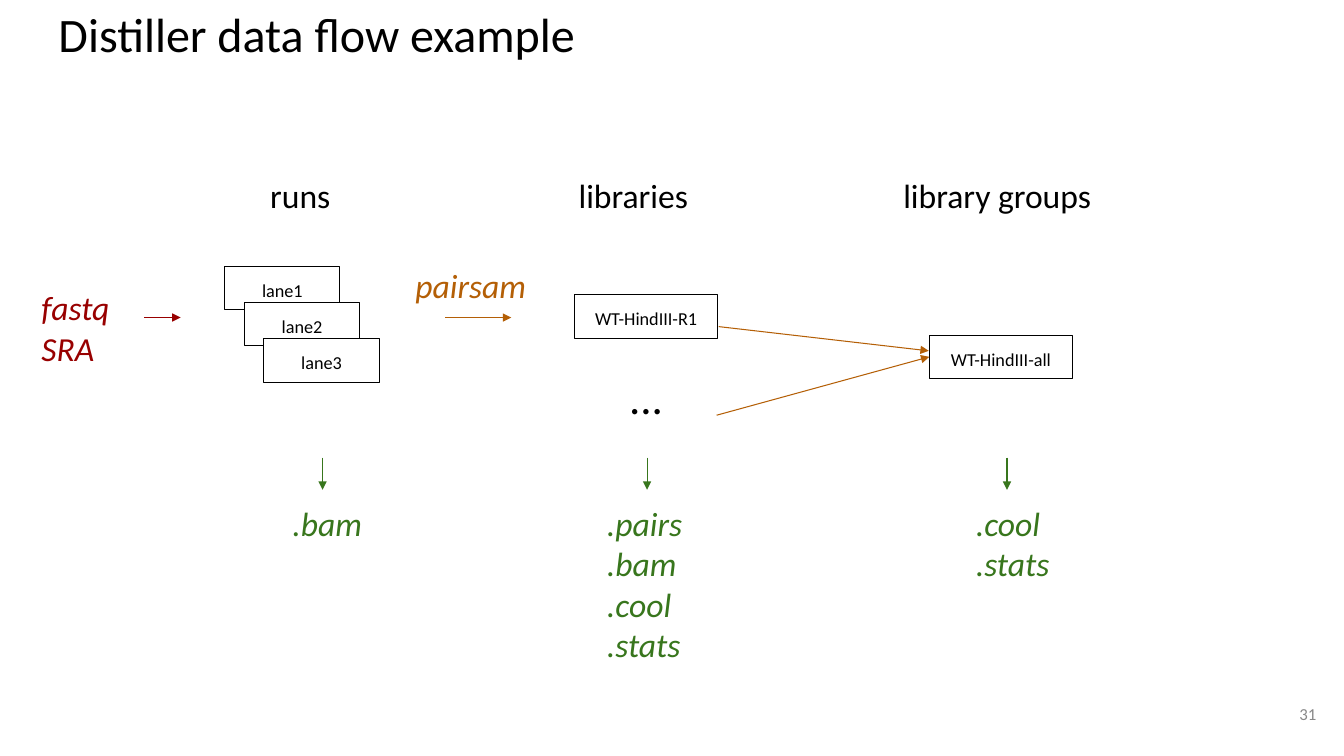
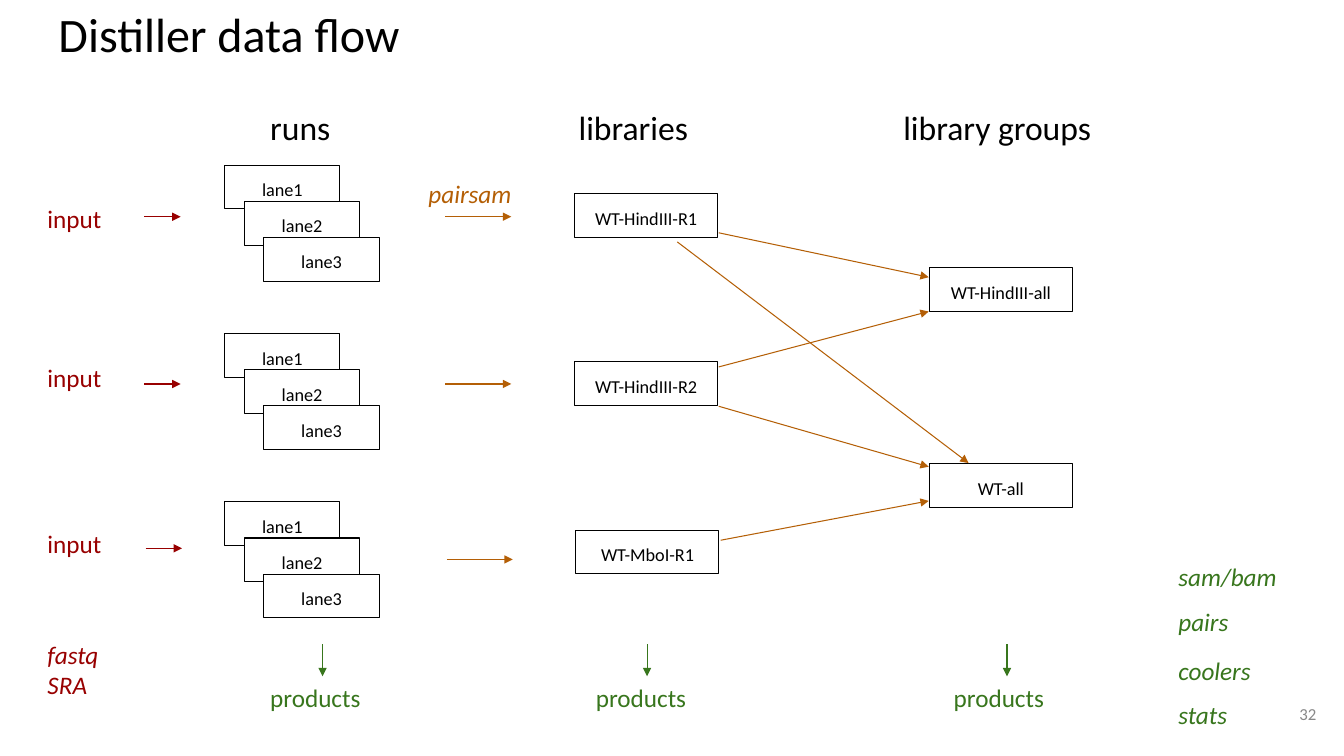
from dataclasses import dataclass

from lxml import etree
from pptx import Presentation
from pptx.dml.color import RGBColor
from pptx.enum.shapes import MSO_CONNECTOR, MSO_SHAPE
from pptx.enum.text import MSO_ANCHOR, PP_ALIGN
from pptx.oxml.ns import qn
from pptx.util import Pt

LEFT, CENTER, RIGHT = PP_ALIGN.LEFT, PP_ALIGN.CENTER, PP_ALIGN.RIGHT
TOP, MIDDLE = MSO_ANCHOR.TOP, MSO_ANCHOR.MIDDLE
RECTANGLE, STRAIGHT = MSO_SHAPE.RECTANGLE, MSO_CONNECTOR.STRAIGHT


@dataclass(frozen=True)
class Theme:
    font: str = "Calibri"
    ink: str = "000000"
    paper: str = "FFFFFF"
    source: str = "980000"
    flow: str = "B45F06"
    product: str = "38761D"
    muted: str = "888888"
    title: float = 34.3
    ellipsis: float = 32
    large: float = 24
    medium: float = 18
    small: float = 13
    number: float = 12
    inset: float = 9.4
    number_inset: float = 7.2
    line: float = 0.75


THEME = Theme()

# Shared geometry, in points
HEADINGS = (("runs", 183.6, 95), ("libraries", 403.9, 117),
            ("library groups", 635.8, 213))
BOX_HEIGHT = 31.2
LANE_LEFT, LANE_WIDTH = 160.6, 82.2
LANE_STEP_X, LANE_STEP_Y = 14, 25.8
LIBRARY_LEFT, GROUP_LEFT, WIDE_BOX = 410.4, 663.8, 102.2
LIBRARY_DROP = 20.2
INPUT_ARROW = (103, 129)
FLOW_ARROW = (318.2, 365.2)
PRODUCT_ARROW_X = (230.4, 462.2, 719.3)
PRODUCT_ARROW_LENGTH = 23


def colour(value):
    return RGBColor.from_string(value)


def write(frame, lines, size, shade, italic=False, align=LEFT, anchor=TOP,
          inset=THEME.inset, spacing=None):
    """Fill a text frame, one paragraph for each line."""
    frame.word_wrap = True
    frame.vertical_anchor = anchor
    frame.margin_left = frame.margin_right = Pt(inset)
    frame.margin_top = frame.margin_bottom = Pt(inset)
    for index, line in enumerate(lines):
        para = frame.add_paragraph() if index else frame.paragraphs[0]
        para.alignment = align
        if spacing:
            para.line_spacing = spacing
        span = para.add_run()
        span.text = line
        span.font.name = THEME.font
        span.font.size = Pt(size)
        span.font.italic = italic
        span.font.color.rgb = colour(shade)


def add_text(page, lines, left, top, width, height, size, shade, **style):
    box = page.shapes.add_textbox(Pt(left), Pt(top), Pt(width), Pt(height))
    write(box.text_frame, lines, size, shade, **style)


def add_box(page, label, left, top, width):
    box = page.shapes.add_shape(RECTANGLE, Pt(left), Pt(top), Pt(width),
                                Pt(BOX_HEIGHT))
    box.shadow.inherit = False
    box.fill.solid()
    box.fill.fore_color.rgb = colour(THEME.paper)
    box.line.color.rgb = colour(THEME.ink)
    box.line.width = Pt(THEME.line)
    write(box.text_frame, [label], THEME.small, THEME.ink, align=CENTER)


def add_arrow(page, start_x, start_y, end_x, end_y, shade):
    arrow = page.shapes.add_connector(STRAIGHT, Pt(start_x), Pt(start_y),
                                      Pt(end_x), Pt(end_y))
    arrow.line.color.rgb = colour(shade)
    arrow.line.width = Pt(THEME.line)
    etree.SubElement(arrow.line._get_or_add_ln(), qn("a:tailEnd"),
                     type="triangle")
    etree.SubElement(arrow._element.spPr, qn("a:effectLst"))


def add_level_arrow(page, span, y, shade, shift=0):
    add_arrow(page, span[0] + shift, y, span[1] + shift, y, shade)


def add_lanes(page, top):
    for index in range(3):
        add_box(page, f"lane{index + 1}", LANE_LEFT + index * LANE_STEP_X,
                top + index * LANE_STEP_Y, LANE_WIDTH)


def add_product_arrows(page, top):
    for x in PRODUCT_ARROW_X:
        add_arrow(page, x, top, x, top + PRODUCT_ARROW_LENGTH, THEME.product)


def add_page(deck, title, number, heading_top):
    """Start a page with its title, column headings and page number."""
    page = deck.slides.add_slide(deck.slide_layouts[6])
    add_text(page, [title], 32.4, -1.4, 894, 60.5, THEME.title, THEME.ink,
             spacing=0.9)
    for heading, left, width in HEADINGS:
        add_text(page, [heading], left, heading_top, width, 47.5,
                 THEME.large, THEME.ink)
    add_text(page, [str(number)], 919.4, 496, 28, 28, THEME.number,
             THEME.muted, align=RIGHT, anchor=MIDDLE,
             inset=THEME.number_inset)
    return page


def build_example(deck):
    page = add_page(deck, "Distiller data flow example", 31, 115.2)
    row_top, arrow_y = 190.1, 226.8

    # Input, lanes and library
    add_text(page, ["fastq", "SRA"], 20.2, 195.8, 80, 80, THEME.large,
             THEME.source, italic=True)
    add_level_arrow(page, INPUT_ARROW, arrow_y, THEME.source)
    add_lanes(page, row_top)
    add_text(page, ["pairsam"], 287.3, 180, 98.6, 47.5, THEME.large,
             THEME.flow, italic=True)
    add_level_arrow(page, FLOW_ARROW, arrow_y, THEME.flow)
    add_box(page, "WT-HindIII-R1", LIBRARY_LEFT, row_top + LIBRARY_DROP,
            WIDE_BOX)
    add_text(page, ["..."], LIBRARY_LEFT, 254.9, WIDE_BOX, 56,
             THEME.ellipsis, THEME.ink, align=CENTER)

    # Library group
    add_box(page, "WT-HindIII-all", GROUP_LEFT, 239.4, WIDE_BOX)
    add_arrow(page, 513.4, 233.3, 663.4, 250.6, THEME.flow)
    add_arrow(page, 511.9, 296.6, GROUP_LEFT, 254.9, THEME.flow)

    # Products
    add_product_arrows(page, 326.9)
    products = ((199.4, [".bam"]),
                (424.1, [".pairs", ".bam", ".cool", ".stats"]),
                (687.6, [".cool", ".stats"]))
    for left, names in products:
        add_text(page, names, left, 349.9, 95, 18 + 29 * len(names),
                 THEME.large, THEME.product, italic=True)


def build_overview(deck):
    page = add_page(deck, "Distiller data flow", 32, 67)
    row_top, row_pitch = 118.1, 120.2

    # Rows: library, its shift, input text top, input and flow arrow heights
    rows = (("WT-HindIII-R1", 0, 136.1, 154.8, 154.8),
            ("WT-HindIII-R2", 0, 249.1, 274.3, 274.3),
            ("WT-MboI-R1", 1, 367.9, 391.7, 399.6))
    for index, (library, shift, text_top, input_y, flow_y) in enumerate(rows):
        top = row_top + index * row_pitch
        add_text(page, ["input"], 24.5, text_top, 78, 40, THEME.medium,
                 THEME.source)
        add_level_arrow(page, INPUT_ARROW, input_y, THEME.source, shift)
        add_lanes(page, top)
        add_level_arrow(page, FLOW_ARROW, flow_y, THEME.flow, shift)
        add_box(page, library, LIBRARY_LEFT + shift, top + LIBRARY_DROP,
                WIDE_BOX)

    # Library groups
    for group, top in (("WT-HindIII-all", 191.3), ("WT-all", 331.2)):
        add_box(page, group, GROUP_LEFT, top, WIDE_BOX)
    links = ((513.4, 166.3, 663.4, 198), (513.4, 262.1, 663.4, 222.5),
             (483.8, 172.8, 691.9, 330.8), (513.4, 290.2, 663.4, 333.4),
             (514.8, 385.9, 663.4, 357.8))
    for link in links:
        add_arrow(page, *link, THEME.flow)

    # Products
    add_product_arrows(page, 460.1)
    for left in (183.6, 416.2, 671.8):
        add_text(page, ["products"], left, 478.1, 95, 40, THEME.medium,
                 THEME.product)

    # File formats
    add_text(page, ["fastq", "SRA"], 24.5, 447.1, 95, 64, THEME.medium,
             THEME.source, italic=True)
    add_text(page, ["pairsam"], 296.6, 118.1, 90, 40, THEME.medium,
             THEME.flow, italic=True)
    formats = (("sam/bam", 391.7), ("pairs", 423.4), ("coolers", 458.6),
               ("stats", 490.3))
    for name, top in formats:
        add_text(page, [name], 832.3, top, 117, 40, THEME.medium,
                 THEME.product, italic=True)


def main():
    deck = Presentation()
    deck.slide_width, deck.slide_height = Pt(960), Pt(540)
    build_example(deck)
    build_overview(deck)
    deck.save("out.pptx")


if __name__ == "__main__":
    main()
